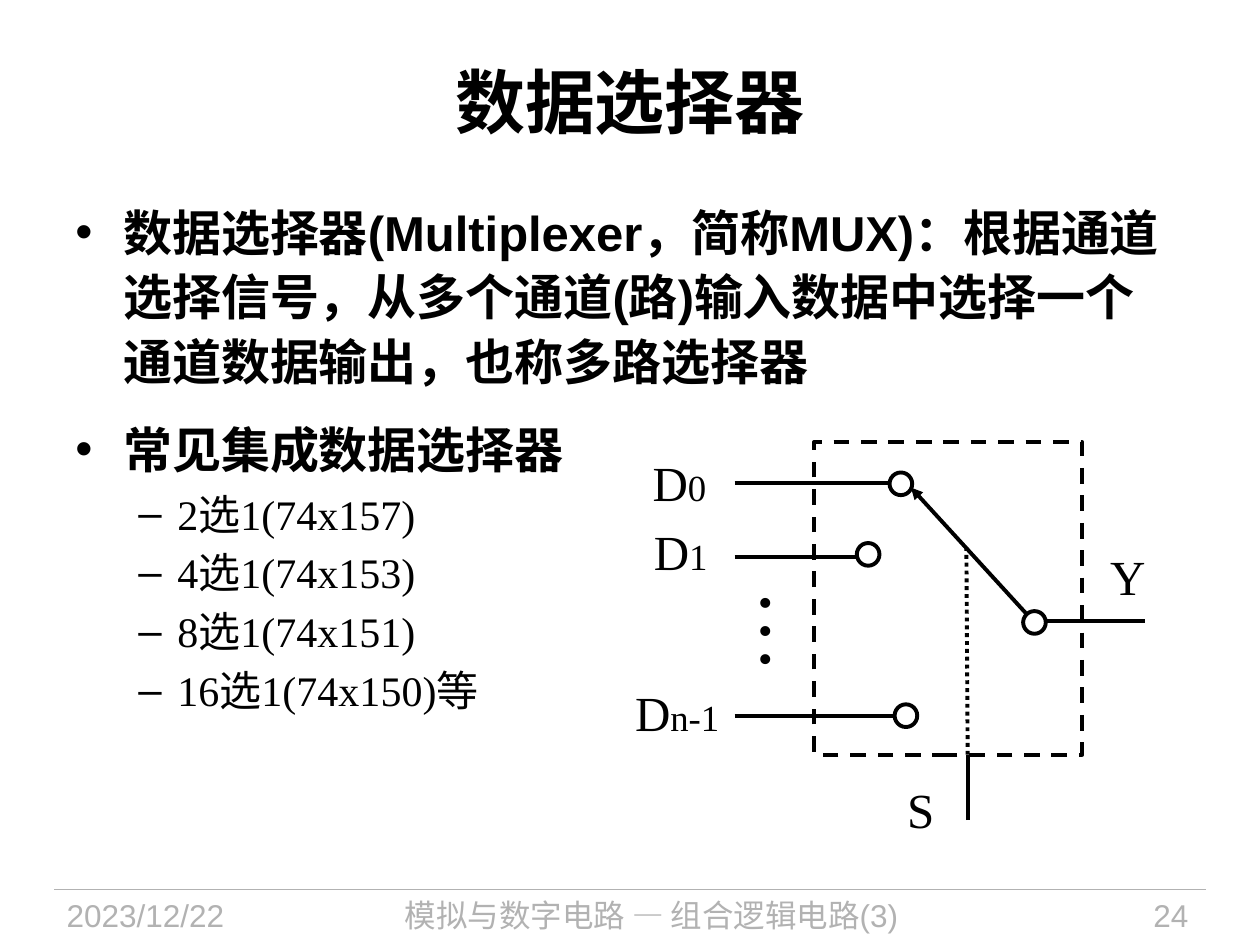
from lxml.etree import SubElement as Sub
from pptx import Presentation
from pptx.dml.color import RGBColor
from pptx.enum.dml import MSO_LINE as Dash
from pptx.enum.shapes import MSO_CONNECTOR as Link, MSO_SHAPE as Shape
from pptx.enum.text import MSO_ANCHOR as Anchor, MSO_AUTO_SIZE as Fit, PP_ALIGN as Align
from pptx.oxml.ns import qn
from pptx.util import Inches, Pt

BLACK, GREY, WHITE = "000000", "B2B2B2", "FFFFFF"
SANS, SERIF = "Arial", "Times New Roman"
DOT = 0.18
LEAD, EDGE = 5.83, 6.46  # start of the input wires, left side of the box


def paint(colour):
    return RGBColor.from_string(colour)


def apply(target, values):
    for name, value in values.items():
        setattr(target, name, value)


def add_run(para, text, size, face=SANS, colour=BLACK, bold=False):
    run = para.add_run()
    run.text = text
    apply(run.font, {"size": Pt(size), "name": face, "bold": bold})
    run.font.color.rgb = paint(colour)


def add_box(slide, area, **frame):
    box = slide.shapes.add_textbox(*map(Inches, area))
    apply(box.text_frame, {"word_wrap": True, **frame})
    return box


def add_line(slide, start, end, colour=BLACK, width=2.25, dash=None, arrow=False):
    """Draw a straight line; an arrow points at its start."""
    line = slide.shapes.add_connector(Link.STRAIGHT, *map(Inches, (*start, *end)))
    line.line.color.rgb = paint(colour)
    apply(line.line, {"width": Pt(width), "dash_style": dash})
    props = line._element.spPr
    if arrow:
        Sub(props.find(qn("a:ln")), qn("a:headEnd"), type="triangle")
    Sub(props, qn("a:effectLst"))


def add_shape(slide, kind, area, fill=None, dash=None):
    shape = slide.shapes.add_shape(kind, *map(Inches, area))
    shape.shadow.inherit = False
    if fill:
        shape.fill.solid()
        shape.fill.fore_color.rgb = paint(fill)
    else:
        shape.fill.background()
    shape.line.color.rgb = paint(BLACK)
    apply(shape.line, {"width": Pt(2.25), "dash_style": dash})


def add_node(slide, left, top):
    add_shape(slide, Shape.OVAL, (left, top, DOT, DOT), WHITE)


def add_text(slide, area, text, size, align=None, colour=BLACK, bold=False, **frame):
    para = add_box(slide, area, **frame).text_frame.paragraphs[0]
    para.alignment = align
    add_run(para, text, size, colour=colour, bold=bold)


def add_label(slide, area, text, index="", wrap=False):
    """Write a signal name with a smaller index."""
    box = add_box(slide, area, word_wrap=wrap, auto_size=Fit.SHAPE_TO_FIT_TEXT,
                  margin_left=0, margin_right=0, margin_top=0, margin_bottom=0)
    para = box.text_frame.paragraphs[0]
    add_run(para, text, 28, SERIF)
    if index:
        add_run(para, index, 21, SERIF)


def add_list(slide, area, items, face, spacing=None):
    frame = add_box(slide, area).text_frame
    for i, (level, text) in enumerate(items):
        para = frame.add_paragraph() if i else frame.paragraphs[0]
        size, left, hang, mark = ((28, 0.38, 0.38, "•"), (24, 0.81, 0.31, "–"))[level]
        apply(para, {"level": level, "line_spacing": spacing,
                     "space_after": Pt(size * 0.2)})
        props = para._p.get_or_add_pPr()
        props.set("marL", str(Inches(left)))
        props.set("indent", str(-Inches(hang)))
        Sub(props, qn("a:buFont"), typeface=SANS)
        Sub(props, qn("a:buChar"), char=mark)
        add_run(para, text, size, face, bold=level == 0)


def add_foot(slide):
    add_line(slide, (0.43, 7.06), (9.57, 7.06), GREY, 0.75)
    for left, width, text, align in (
        (0.43, 1.88, "2023/12/22", Align.LEFT),
        (2.49, 5.36, "模拟与数字电路 — 组合逻辑电路(3)", Align.CENTER),
        (8.2, 1.33, "24", Align.RIGHT),
    ):
        add_text(slide, (left, 7.06, width, 0.44), text, 18, align, GREY)


def add_input(slide, index, label, wire, node):
    """Draw one input: its name, wire in two parts, and contact."""
    add_label(slide, label, "D", index)
    start, end, y = wire
    add_line(slide, (LEAD, y), (EDGE, y))
    add_line(slide, (start, y), (end, y))
    add_node(slide, *node)


def add_switch(slide):
    add_shape(slide, Shape.RECTANGLE, (EDGE, 3.51, 2.13, 2.48), dash=Dash.DASH)
    add_line(slide, (8.27, 4.93), (9.09, 4.93))
    add_line(slide, (7.23, 3.87), (8.2, 4.93), arrow=True)
    add_line(slide, (7.68, 5.99), (7.67, 4.34), dash=Dash.ROUND_DOT)
    add_line(slide, (7.68, 6.51), (7.68, 5.99))
    add_node(slide, 8.12, 4.85)
    for index, label, wire, node in (
        ("0", (5.18, 3.59, 0.43, 0.47), (6.34, 7.06, 3.83), (7.06, 3.75)),
        ("1", (5.19, 4.14, 0.43, 0.47), (6.38, 6.83, 4.42), (6.8, 4.31)),
        ("n-1", (5.04, 5.42, 0.67, 0.47), (6.38, 7.15, 5.68), (7.1, 5.59)),
    ):
        add_input(slide, index, label, wire, node)
    add_label(slide, (8.81, 4.34, 0.28, 0.47), "Y")
    add_label(slide, (7.2, 6.19, 0.32, 0.47), "S", wrap=True)
    dots = add_box(slide, (5.41, 4.56, 0.87, 0.9), word_wrap=False,
                   auto_size=Fit.SHAPE_TO_FIT_TEXT)
    dots.rotation = 270
    add_run(dots.text_frame.paragraphs[0], "…", 48, SERIF)


def main():
    deck = Presentation()
    apply(deck, {"slide_width": Inches(10), "slide_height": Inches(7.5)})
    slide = deck.slides.add_slide(deck.slide_layouts[6])
    add_foot(slide)
    add_text(slide, (0.5, 0.17, 9, 1.25), "数据选择器", 40, Align.CENTER,
             bold=True, vertical_anchor=Anchor.MIDDLE)
    add_list(slide, (0.5, 1.51, 8.95, 1.77), [
        (0, "数据选择器(Multiplexer，简称MUX)：根据通道选择信号，"
            "从多个通道(路)输入数据中选择一个通道数据输出，也称多路选择器"),
    ], SANS, 1.1)
    add_list(slide, (0.5, 3.28, 4.19, 3.74), [
        (0, "常见集成数据选择器"),
        (1, "2选1(74x157)"),
        (1, "4选1(74x153)"),
        (1, "8选1(74x151)"),
        (1, "16选1(74x150)等"),
    ], SERIF)
    add_switch(slide)
    deck.save("out.pptx")


if __name__ == "__main__":
    main()
